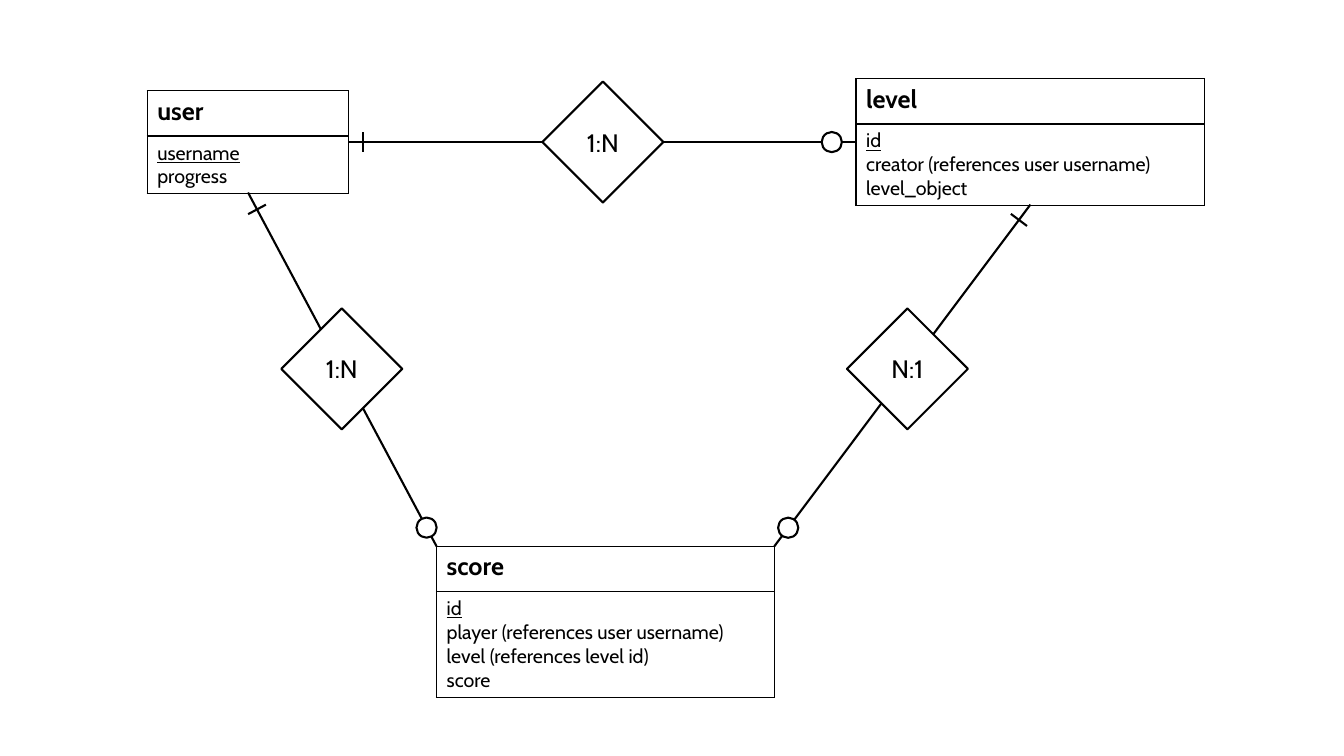
from math import hypot

from lxml.etree import SubElement
from pptx import Presentation
from pptx.dml.color import RGBColor
from pptx.enum.shapes import MSO_CONNECTOR as CONNECTOR, MSO_SHAPE as SHAPE
from pptx.enum.text import MSO_ANCHOR as ANCHOR, PP_ALIGN as ALIGN
from pptx.oxml.ns import qn
from pptx.util import Inches, Pt

FONT = "Cabin"
BLACK = "000000"
WHITE = "FFFFFF"
HEADER_H = 0.45
DIAMOND = 1.2
CIRCLE = 0.2
TICK = 0.2


def color(hex_str):
    return RGBColor.from_string(hex_str)


def add_run(p, text, size, bold=False, underline=False):
    r = p.add_run()
    r.text = text
    r.font.name = FONT
    r.font.size = Pt(size)
    r.font.bold = bold
    r.font.underline = underline
    r.font.color.rgb = color(BLACK)


def style_cell(cell):
    tc_pr = cell._tc.get_or_add_tcPr()
    for side in ("lnL", "lnR", "lnT", "lnB"):
        ln = SubElement(tc_pr, qn(f"a:{side}"), w=str(Pt(1)))
        fill = SubElement(ln, qn("a:solidFill"))
        SubElement(fill, qn("a:srgbClr"), val=BLACK)
    cell.fill.solid()
    cell.fill.fore_color.rgb = color(WHITE)


def add_entity(slide, box, name, fields):
    x, y, w, h = box
    frame = slide.shapes.add_table(2, 1, *map(Inches, box))
    table = frame.table
    table.first_row = False
    table.horz_banding = False
    table.rows[0].height = Inches(HEADER_H)
    table.rows[1].height = Inches(h - HEADER_H)
    header, body = table.cell(0, 0), table.cell(1, 0)
    style_cell(header)
    style_cell(body)
    add_run(header.text_frame.paragraphs[0], name, 18, bold=True)
    tf = body.text_frame
    for i, field in enumerate(fields):
        p = tf.add_paragraph() if i else tf.paragraphs[0]
        add_run(p, field, 14, underline=i == 0)


def add_line(slide, start, end):
    line = slide.shapes.add_connector(
        CONNECTOR.STRAIGHT, *map(Inches, (*start, *end)))
    line.line.color.rgb = color(BLACK)
    line.line.width = Pt(1.5)
    SubElement(line._element.spPr, qn("a:effectLst"))


def add_node(slide, kind, center, size):
    cx, cy = center
    sp = slide.shapes.add_shape(
        kind, Inches(cx - size / 2), Inches(cy - size / 2),
        Inches(size), Inches(size))
    sp.shadow.inherit = False
    sp.fill.solid()
    sp.fill.fore_color.rgb = color(WHITE)
    sp.line.color.rgb = color(BLACK)
    sp.line.width = Pt(1.5)
    return sp


def add_relationship(slide, one, many, center, label, tick_gap, circle_gap):
    (x1, y1), (x2, y2) = one, many
    length = hypot(x2 - x1, y2 - y1)
    ux, uy = (x2 - x1) / length, (y2 - y1) / length
    add_line(slide, one, many)

    tx, ty = x1 + ux * tick_gap, y1 + uy * tick_gap
    dx, dy = uy * TICK / 2, -ux * TICK / 2
    add_line(slide, (tx + dx, ty + dy), (tx - dx, ty - dy))
    circle = (x2 - ux * circle_gap, y2 - uy * circle_gap)
    add_node(slide, SHAPE.OVAL, circle, CIRCLE)

    diamond = add_node(slide, SHAPE.FLOWCHART_DECISION, center, DIAMOND)
    tf = diamond.text_frame
    tf.margin_left = tf.margin_right = 0
    tf.vertical_anchor = ANCHOR.MIDDLE
    p = tf.paragraphs[0]
    p.alignment = ALIGN.CENTER
    add_run(p, label, 18)


def main():
    prs = Presentation()
    prs.slide_width = Inches(13.33)
    prs.slide_height = Inches(7.5)
    slide = prs.slides.add_slide(prs.slide_layouts[6])

    add_entity(slide, (1.46, 0.9, 2, 1.01), "user", ["username", "progress"])
    add_entity(slide, (8.49, 0.78, 3.46, 1.25), "level",
               ["id", "creator (references user username)", "level_object"])
    add_entity(slide, (4.33, 5.42, 3.35, 1.48), "score",
               ["id", "player (references user username)",
                "level (references level id)", "score"])

    add_relationship(slide, (3.46, 1.41), (8.49, 1.41), (5.98, 1.41),
                     "1:N", 0.14, 0.24)
    add_relationship(slide, (2.46, 1.91), (4.33, 5.42), (3.39, 3.66),
                     "1:N", 0.19, 0.21)
    add_relationship(slide, (10.22, 2.03), (7.68, 5.42), (9, 3.66),
                     "N:1", 0.19, 0.23)
    prs.save("out.pptx")


if __name__ == "__main__":
    main()
